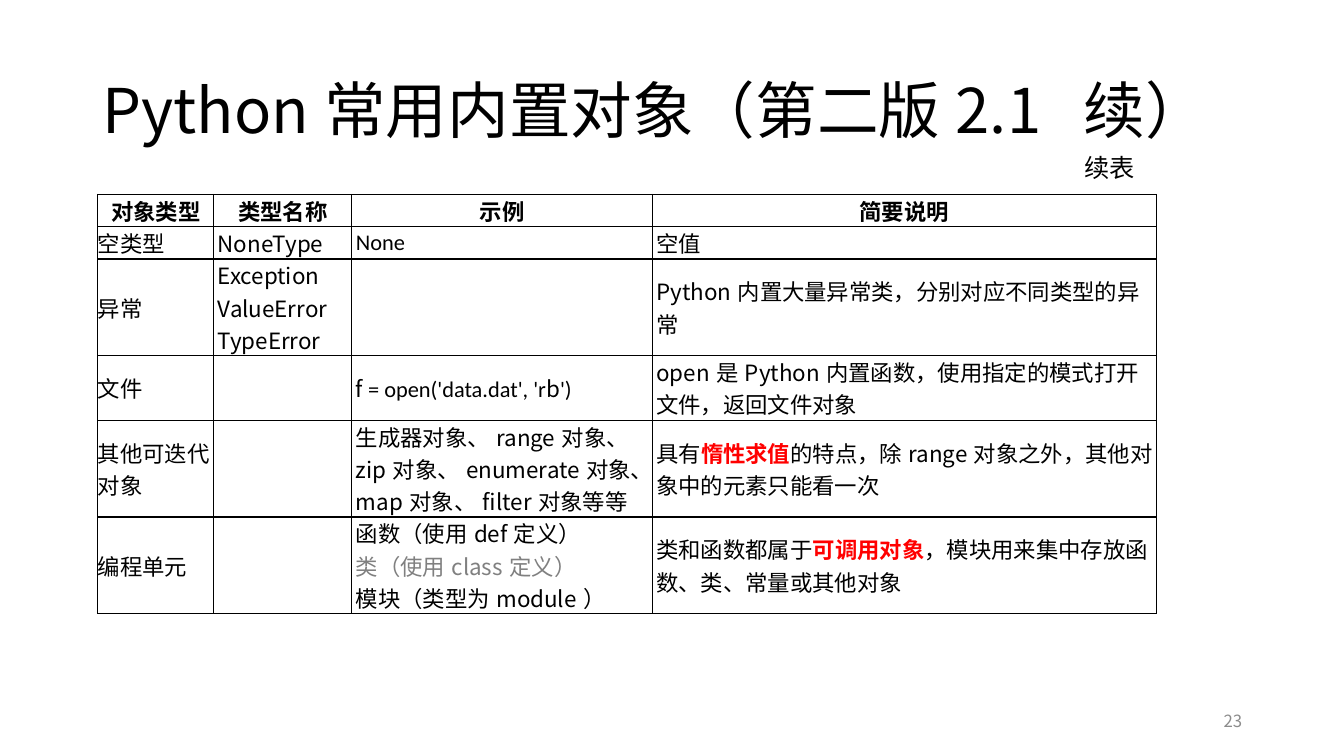
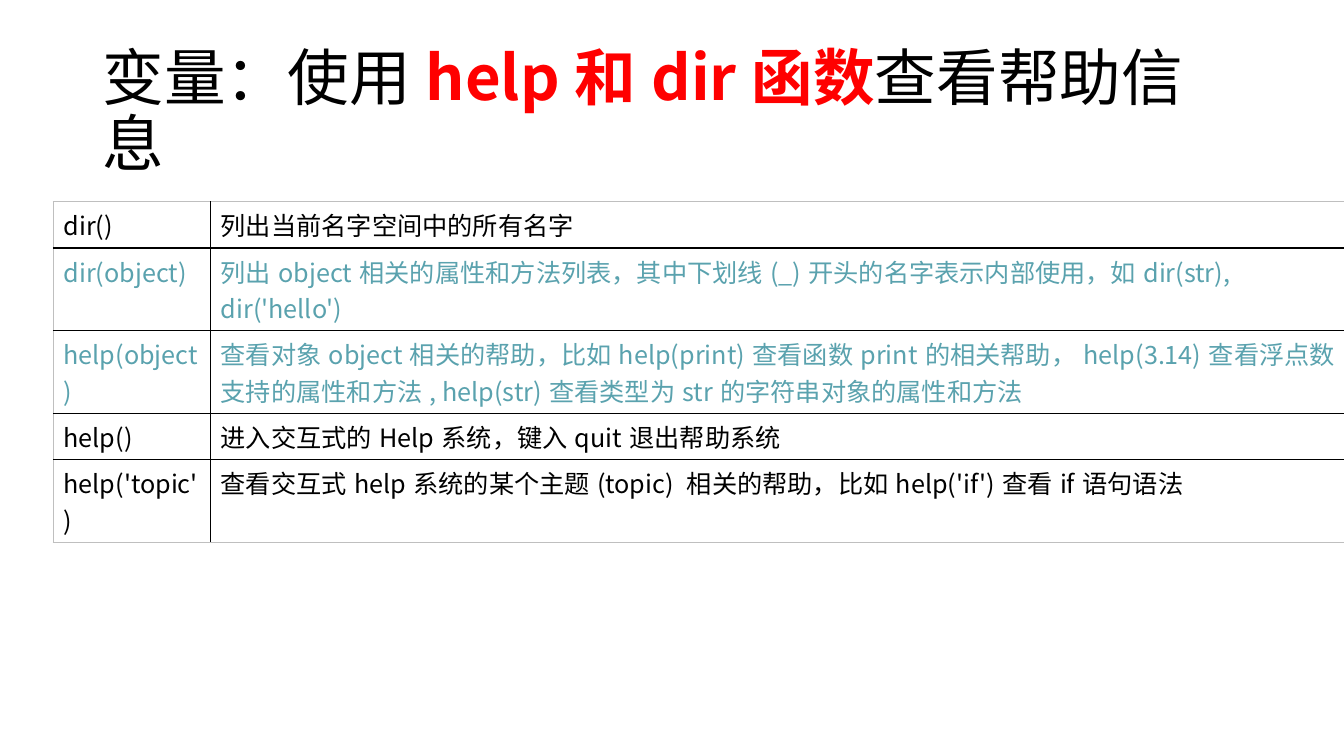
import pptx
import pptx.util
import pptx.dml.color
import pptx.enum.text
import pptx.oxml
import pptx.oxml.ns

Inches = pptx.util.Inches
Pt = pptx.util.Pt
RGBColor = pptx.dml.color.RGBColor
ALIGN = pptx.enum.text.PP_ALIGN
MIDDLE = pptx.enum.text.MSO_ANCHOR.MIDDLE
TOP = pptx.enum.text.MSO_ANCHOR.TOP

BLACK = RGBColor(0x00, 0x00, 0x00)
RED = RGBColor(0xFF, 0x00, 0x00)
GRAY = RGBColor(0x80, 0x80, 0x80)
PALE = RGBColor(0x8C, 0x8C, 0x8C)
EDGE = RGBColor(0xBF, 0xBF, 0xBF)
TEAL = RGBColor(0x5A, 0xA2, 0xAE)
NOTO = "Noto Sans CJK SC"
CALIBRI = "Calibri"

TITLE = (0.92, 0.4, 11.5, 1.45)
NUMBER = (9.42, 6.95, 3, 0.4)
LINE = 0.32

TYPES = [
    ["对象类型", "类型名称", "示例", "简要说明"],
    ["空类型", "NoneType", [[("None", {"face": CALIBRI})]], "空值"],
    ["异常", ["Exception", "ValueError", "TypeError"], "",
     "Python内置大量异常类，分别对应不同类型的异常"],
    ["文件", "",
     [["f ", ("= open('data.dat', 'r", {"face": CALIBRI}), "b",
       ("')", {"face": CALIBRI})]],
     "open是Python内置函数，使用指定的模式打开文件，返回文件对象"],
    ["其他可迭代对象", "",
     "生成器对象、range对象、zip对象、enumerate对象、map对象、filter对象等等",
     [["具有", ("惰性求值", {"color": RED, "bold": True}),
       "的特点，除range对象之外，其他对象中的元素只能看一次"]]],
    ["编程单元", "",
     ["函数（使用def定义）", [("类（使用class定义）", {"color": GRAY})],
      "模块（类型为module）"],
     [["类和函数都属于", ("可调用对象", {"color": RED, "bold": True}),
       "，模块用来集中存放函数、类、常量或其他对象"]]],
]
LINES = [1, 1, 3, 2, 3, 3]

HELP = [
    ("dir()", "列出当前名字空间中的所有名字", BLACK, 0.46),
    ("dir(object)", "列出object相关的属性和方法列表，其中下划线(_)开头的名字表示内部使用，"
     "如dir(str), dir('hello')", TEAL, 0.82),
    ("help(object)", "查看对象object相关的帮助，比如help(print)查看函数print的相关帮助，"
     "help(3.14)查看浮点数支持的属性和方法, help(str)查看类型为str的字符串对象的属性和方法",
     TEAL, 0.82),
    ("help()", "进入交互式的Help系统，键入quit退出帮助系统", BLACK, 0.46),
    ("help('topic')", "查看交互式help系统的某个主题(topic) 相关的帮助，"
     "比如help('if')查看if语句语法", BLACK, 0.82),
]


def style(run, size, face=NOTO, color=BLACK, bold=False):
    """Set the font of one run for Latin and East Asian text."""
    font = run.font
    font.size, font.bold, font.name = Pt(size), bold, face
    font.color.rgb = color
    east = pptx.oxml.parse_xml(
        f'<a:ea {pptx.oxml.ns.nsdecls("a")} typeface="{NOTO}"/>')
    font._element.find(pptx.oxml.ns.qn("a:latin")).addnext(east)


def write(frame, paras, size, align=ALIGN.LEFT, space=None, **look):
    """Fill a text frame with a string or a list of paragraphs of runs."""
    paras = [paras] if isinstance(paras, str) else paras
    for i, para in enumerate(paras):
        line = frame.add_paragraph() if i else frame.paragraphs[0]
        line.alignment = align
        if space:
            line.line_spacing = space
        for part in [para] if isinstance(para, str) else para:
            text, extra = (part, {}) if isinstance(part, str) else part
            if text:
                run = line.add_run()
                run.text = text
                style(run, size, **{**look, **extra})


def label(slide, box, paras, size, anchor=MIDDLE, **look):
    """Place a wrapped text box."""
    frame = slide.shapes.add_textbox(*map(Inches, box)).text_frame
    frame.word_wrap = True
    frame.vertical_anchor = anchor
    write(frame, paras, size, **look)


def title(slide, paras):
    """Place the slide title."""
    label(slide, TITLE, paras, 44, space=0.9)


def border(cell, colors):
    """Draw the left, right, top and bottom edges of a cell."""
    props = cell._tc.get_or_add_tcPr()
    for i, (side, color) in enumerate(zip("LRTB", colors)):
        props.insert(i, pptx.oxml.parse_xml(
            f'<a:ln{side} {pptx.oxml.ns.nsdecls("a")} w="{Pt(1)}"><a:solidFill>'
            f'<a:srgbClr val="{color}"/></a:solidFill></a:ln{side}>'))


def grid(slide, left, top, cols, rows, edge):
    """Add a plain ruled table and return it."""
    box = map(Inches, (left, top, sum(cols), sum(rows)))
    table = slide.shapes.add_table(len(rows), len(cols), *box).table
    table.first_row = table.horz_banding = False
    for col, width in zip(table.columns, cols):
        col.width = Inches(width)
    for row, height in zip(table.rows, rows):
        row.height = Inches(height)
    for r in range(len(rows)):
        for c in range(len(cols)):
            cell = table.cell(r, c)
            cell.fill.background()
            outer = (c == 0, c == len(cols) - 1, r == 0, r == len(rows) - 1)
            border(cell, [edge if out else BLACK for out in outer])
    return table


def types(slide, left, top):
    """Place the table of built-in object types with its caption."""
    label(slide, (left + 8.09, top - 0.47, 2.29, 0.4), "续表", 18,
          anchor=TOP, align=ALIGN.RIGHT, face="Arial")
    table = grid(slide, left, top, [1.15, 1.37, 2.98, 5],
                 [n * LINE for n in LINES], BLACK)
    for r, row in enumerate(TYPES):
        for c, paras in enumerate(row):
            cell = table.cell(r, c)
            cell.vertical_anchor = MIDDLE
            cell.margin_right = cell.margin_top = cell.margin_bottom = 0
            cell.margin_left = Inches(0.04 if r and c else 0)
            write(cell.text_frame, paras, 16, bold=r == 0,
                  align=ALIGN.LEFT if r else ALIGN.CENTER)


def calls(slide, left, top):
    """Place the table of help calls."""
    table = grid(slide, left, top, [1.56, 11.25], [row[3] for row in HELP], EDGE)
    for r, (call, note, color, _) in enumerate(HELP):
        for c, text in enumerate((call, note)):
            write(table.cell(r, c).text_frame, text, 18, color=color)


def main():
    """Build and save both slides."""
    deck = pptx.Presentation()
    deck.slide_width, deck.slide_height = Inches(13.33), Inches(7.5)
    blank = deck.slide_layouts[6]

    slide = deck.slides.add_slide(blank)
    title(slide, "Python常用内置对象（第二版2.1  续）")
    label(slide, NUMBER, "23", 12, align=ALIGN.RIGHT, color=PALE)
    types(slide, 0.97, 1.93)

    slide = deck.slides.add_slide(blank)
    calls(slide, 0.53, 2)
    title(slide, [["变量：使用", ("help和dir函数", {"color": RED, "bold": True}),
                   "查看帮助信息"]])
    deck.save("out.pptx")


if __name__ == "__main__":
    main()
